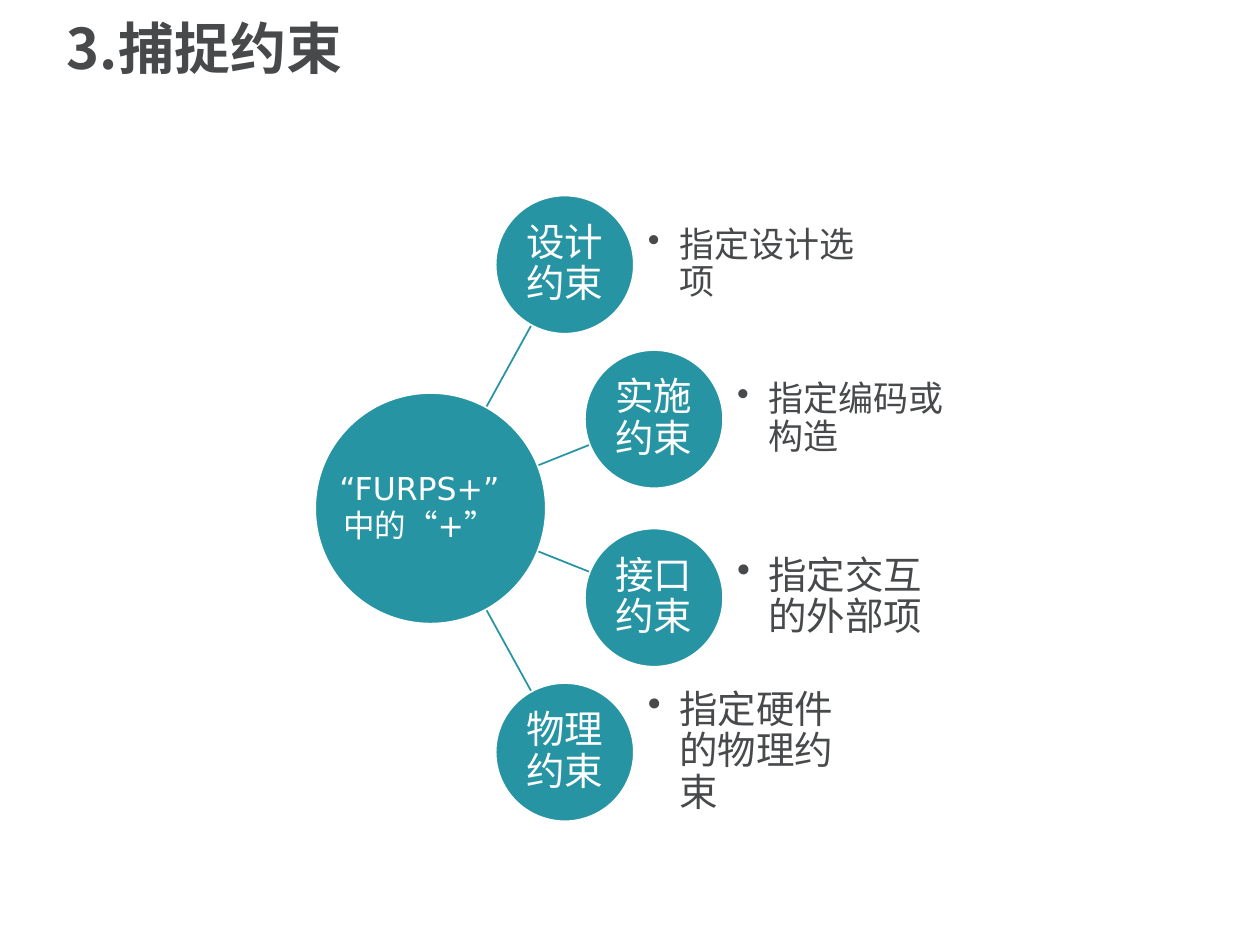
"""Build the slide on capturing constraints as a hub with four satellites."""
import math
import pptx
import pptx.util
import pptx.dml.color
import pptx.enum.shapes
import pptx.enum.text
import pptx.oxml.ns
import lxml.etree

Pt = pptx.util.Pt
RGB = pptx.dml.color.RGBColor.from_string
ALIGN = pptx.enum.text.PP_ALIGN
KIND = pptx.enum.shapes.MSO_SHAPE
qn = pptx.oxml.ns.qn

TITLE = "3.捕捉约束"
HUB_TEXT = ["“FURPS+”", "中的“+”"]
NODES = [
    ("设计约束", "指定设计选项", 20, 76.7, -139.3),
    ("实施约束", "指定编码或构造", 20, 127.7, -51),
    ("接口约束", "指定交互的外部项", 22, 127.7, 51),
    ("物理约束", "指定硬件的物理约束", 22, 76.7, 139.3),
]
THEME = {
    "teal": RGB("2794A4"), "ink": RGB("47494B"), "white": RGB("FFFFFF"),
    "head": "Noto Sans CJK SC", "body": "Calibri", "hub": "DejaVu Sans",
    "title size": 32, "node size": 22, "hub size": 18,
}
HUB_X, HUB_Y, HUB_R = 246, 290.5, 65.9
NODE_R, START_R = 39.5, 52
NOTE_GAP, NOTE_W, INDENT = 8, 118.8, 18


def style(par, size, face, color, align, bold=False, space=0.9):
    par.alignment, par.line_spacing = align, space
    font = par.font
    font.size, font.name, font.bold = Pt(size), face, bold
    font.color.rgb = color
    for run in par.runs:
        props = run._r.get_or_add_rPr()
        props.set("lang", "zh-CN")
        east = lxml.etree.SubElement(props, qn("a:ea"))
        east.set("typeface", THEME["head"])


def frame(shape, inset):
    text = shape.text_frame
    text.word_wrap = True
    text.vertical_anchor = pptx.enum.text.MSO_ANCHOR.MIDDLE
    text.margin_left = text.margin_right = Pt(inset)
    text.margin_top = text.margin_bottom = Pt(inset)
    return text


def disc(slide, x, y, rad):
    shape = slide.shapes.add_shape(
        KIND.OVAL, Pt(x - rad), Pt(y - rad), Pt(2 * rad), Pt(2 * rad))
    shape.shadow.inherit = False
    shape.fill.solid()
    shape.fill.fore_color.rgb = THEME["teal"]
    shape.line.color.rgb = THEME["white"]
    shape.line.width = Pt(1)
    return shape


def spoke(slide, dx, dy):
    dist = math.hypot(dx, dy)
    ends = []
    for rad in (START_R, dist - NODE_R):
        ends += [Pt(HUB_X + dx * rad / dist), Pt(HUB_Y + dy * rad / dist)]
    line = slide.shapes.add_connector(
        pptx.enum.shapes.MSO_CONNECTOR.STRAIGHT, *ends)
    line.line.color.rgb = THEME["teal"]
    line.line.width = Pt(1)
    lxml.etree.SubElement(line._element.spPr, qn("a:effectLst"))


def node(slide, label, note, size, dx, dy):
    x, y = HUB_X + dx, HUB_Y + dy
    text = frame(disc(slide, x, y, NODE_R), 1.4)
    text.text = label
    style(text.paragraphs[0], THEME["node size"], THEME["body"],
          THEME["white"], ALIGN.CENTER)
    box = slide.shapes.add_textbox(
        Pt(x + NODE_R + NOTE_GAP), Pt(y - NODE_R), Pt(NOTE_W), Pt(2 * NODE_R))
    text = frame(box, 0)
    text.text = note
    par = text.paragraphs[0]
    props = par._p.get_or_add_pPr()
    props.set("marL", str(Pt(INDENT)))
    props.set("indent", str(-Pt(INDENT)))
    lxml.etree.SubElement(props, qn("a:buChar")).set("char", "•")
    style(par, size, THEME["body"], THEME["ink"], ALIGN.LEFT)


def main():
    deck = pptx.Presentation()
    deck.slide_width, deck.slide_height = Pt(720), Pt(540)
    slide = deck.slides.add_slide(deck.slide_layouts[5])
    title = slide.shapes.title
    title.left, title.top, title.width, title.height = map(
        Pt, (31, 4.3, 651.6, 50.4))
    title.text_frame.text = TITLE
    title.text_frame.vertical_anchor = pptx.enum.text.MSO_ANCHOR.MIDDLE
    style(title.text_frame.paragraphs[0], THEME["title size"], THEME["head"],
          THEME["ink"], ALIGN.LEFT, bold=True)

    for *_, dx, dy in NODES:
        spoke(slide, dx, dy)
    disc(slide, HUB_X, HUB_Y, HUB_R)
    for item in NODES:
        node(slide, *item)

    box = slide.shapes.add_textbox(Pt(121.7), Pt(264.2), Pt(236), Pt(51))
    box.text_frame.word_wrap = True
    box.text_frame.text = "\n".join(HUB_TEXT)
    for par in box.text_frame.paragraphs:
        style(par, THEME["hub size"], THEME["hub"], THEME["white"],
              ALIGN.CENTER, space=1.0)
    deck.save("out.pptx")


if __name__ == "__main__":
    main()
